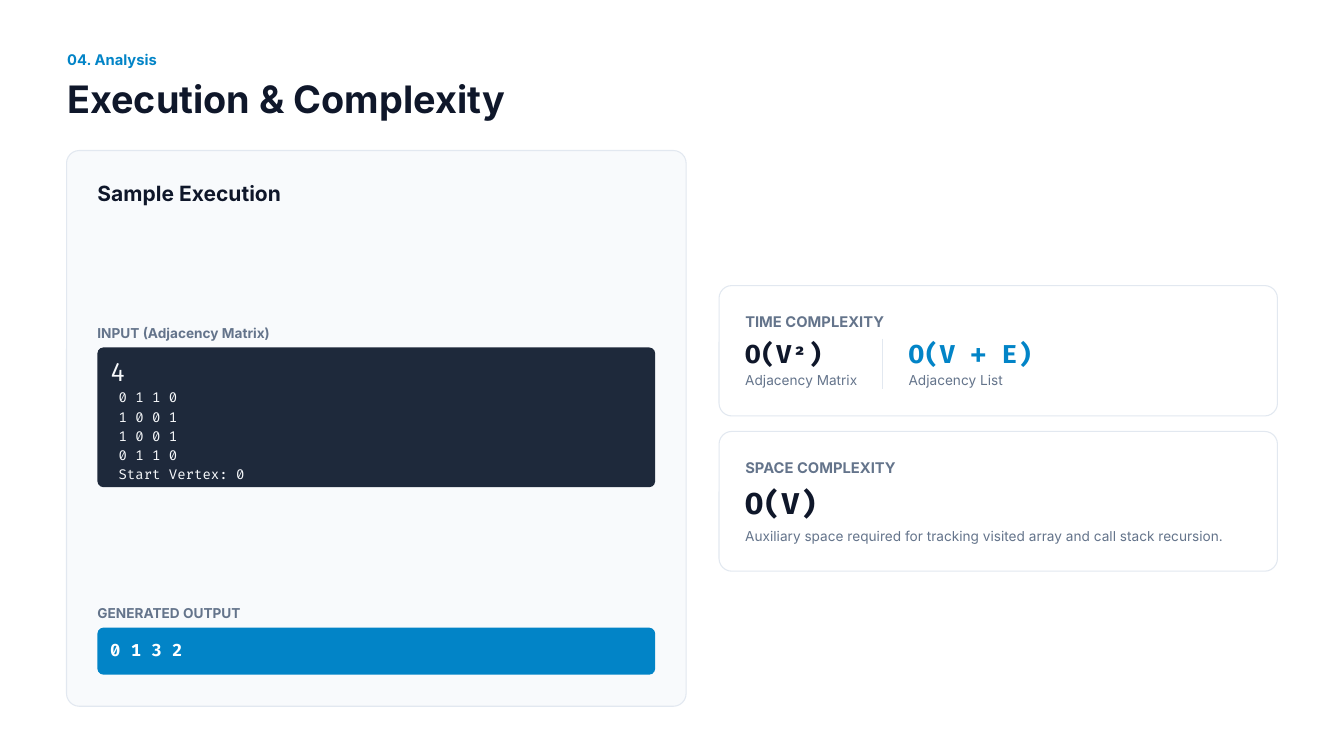
from lxml import etree
from pptx import Presentation
from pptx.dml.color import RGBColor
from pptx.enum.shapes import MSO_CONNECTOR, MSO_SHAPE
from pptx.oxml.ns import qn
from pptx.util import Inches, Pt

ROUNDED = MSO_SHAPE.ROUNDED_RECTANGLE
STRAIGHT = MSO_CONNECTOR.STRAIGHT

WHITE = RGBColor(0xFF, 0xFF, 0xFF)
PALE = RGBColor(0xF8, 0xFA, 0xFC)
BORDER = RGBColor(0xE2, 0xE8, 0xF0)
SLATE = RGBColor(0x64, 0x74, 0x8B)
CODE_BG = RGBColor(0x1E, 0x29, 0x3B)
INK = RGBColor(0x0F, 0x17, 0x2A)
BLUE = RGBColor(0x02, 0x84, 0xC7)

SANS, MONO = "Inter", "Fira Code"
BORDER_WIDTH = Pt(1.13)
LINE_RATIO = 1.2  # line height relative to text size

# Left edges of the text columns
MARGIN, PANEL_TEXT, CODE_TEXT, CARD_TEXT, LIST_TEXT = 1, 1.45, 1.64, 11.09, 13.52

# left, top, width, height, corner radius, fill, border
PANELS = [
    (0.99, 2.24, 9.22, 8.27, 0.19, PALE, BORDER),
    (10.7, 4.25, 8.31, 1.94, 0.19, WHITE, BORDER),
    (10.7, 6.42, 8.31, 2.08, 0.19, WHITE, BORDER),
    (PANEL_TEXT, 5.17, 8.3, 2.08, 0.09, CODE_BG, None),
    (PANEL_TEXT, 9.34, 8.3, 0.7, 0.09, BLUE, None),
]

# text, left, top, width, size, font, colour, bold
LABELS = [
    ("04. Analysis", MARGIN, 0.75, 18, 15.8, SANS, BLUE, True),
    ("Execution & Complexity", MARGIN, 1.12, 18, 40.5, SANS, INK, True),
    ("Sample Execution", PANEL_TEXT, 2.69, 8.3, 22.5, SANS, INK, True),
    ("INPUT (Adjacency Matrix)", PANEL_TEXT, 4.83, 8.3, 14.6, SANS, SLATE, True),
    ("GENERATED OUTPUT", PANEL_TEXT, 9, 8.3, 14.6, SANS, SLATE, True),
    ("0 1 3 2", CODE_TEXT, 9.52, 8.08, 18, MONO, WHITE, True),
    ("TIME COMPLEXITY", CARD_TEXT, 4.65, 2.75, 15.8, SANS, SLATE, True),
    ("O(V²)", CARD_TEXT, 5.03, 2, 27, MONO, INK, True),
    ("Adjacency Matrix", CARD_TEXT, 5.54, 2, 14.6, SANS, SLATE, False),
    ("O(V + E)", LIST_TEXT, 5.03, 2.22, 27, MONO, BLUE, True),
    ("Adjacency List", LIST_TEXT, 5.54, 2.22, 14.6, SANS, SLATE, False),
    ("SPACE COMPLEXITY", CARD_TEXT, 6.82, 2.75, 15.8, SANS, SLATE, True),
    ("O(V)", CARD_TEXT, 7.22, 7.9, 31.5, MONO, INK, True),
    ("Auxiliary space required for tracking visited array and call stack recursion.",
     CARD_TEXT, 7.85, 7.9, 14.6, SANS, SLATE, False),
]

# text, size, line height
INPUT_LINES = [("4", 27, 20.5)] + [
    (line, 14.6, 20.4)
    for line in (" 0 1 1 0", " 1 0 0 1", " 1 0 0 1", " 0 1 1 0", " Start Vertex: 0")
]


def add_panel(slide, left, top, width, height, radius, fill, border):
    panel = slide.shapes.add_shape(
        ROUNDED, Inches(left), Inches(top), Inches(width), Inches(height))
    panel.adjustments[0] = radius / min(width, height)
    panel.shadow.inherit = False
    panel.fill.solid()
    panel.fill.fore_color.rgb = fill
    if border is None:
        panel.line.fill.background()
    else:
        panel.line.color.rgb = border
        panel.line.width = BORDER_WIDTH


def add_divider(slide, x, top, bottom):
    divider = slide.shapes.add_connector(
        STRAIGHT, Inches(x), Inches(top), Inches(x), Inches(bottom))
    divider.line.color.rgb = BORDER
    divider.line.width = BORDER_WIDTH
    etree.SubElement(divider._element.spPr, qn("a:effectLst"))


def add_text(slide, lines, left, top, width, font, color, bold=False):
    """Add a text box from (text, size, line height) lines."""
    height = sum(line_height for _, _, line_height in lines) / 72
    box = slide.shapes.add_textbox(
        Inches(left), Inches(top), Inches(width), Inches(height))
    frame = box.text_frame
    frame.word_wrap = True
    frame.margin_left = frame.margin_right = 0
    frame.margin_top = frame.margin_bottom = 0
    for index, (text, size, line_height) in enumerate(lines):
        paragraph = frame.add_paragraph() if index else frame.paragraphs[0]
        paragraph.line_spacing = Pt(line_height)
        run = paragraph.add_run()
        run.text = text
        run.font.size = Pt(size)
        run.font.name = font
        run.font.bold = bold
        run.font.color.rgb = color


def main():
    deck = Presentation()
    deck.slide_width, deck.slide_height = Inches(20), Inches(11.25)
    slide = deck.slides.add_slide(deck.slide_layouts[6])

    for panel in PANELS:
        add_panel(slide, *panel)
    add_divider(slide, 13.13, 5.04, 5.79)
    for text, left, top, width, size, font, color, bold in LABELS:
        line = (text, size, size * LINE_RATIO)
        add_text(slide, [line], left, top, width, font, color, bold)
    add_text(slide, INPUT_LINES, CODE_TEXT, 5.47, 8.08, MONO, PALE)

    deck.save("out.pptx")


if __name__ == "__main__":
    main()
